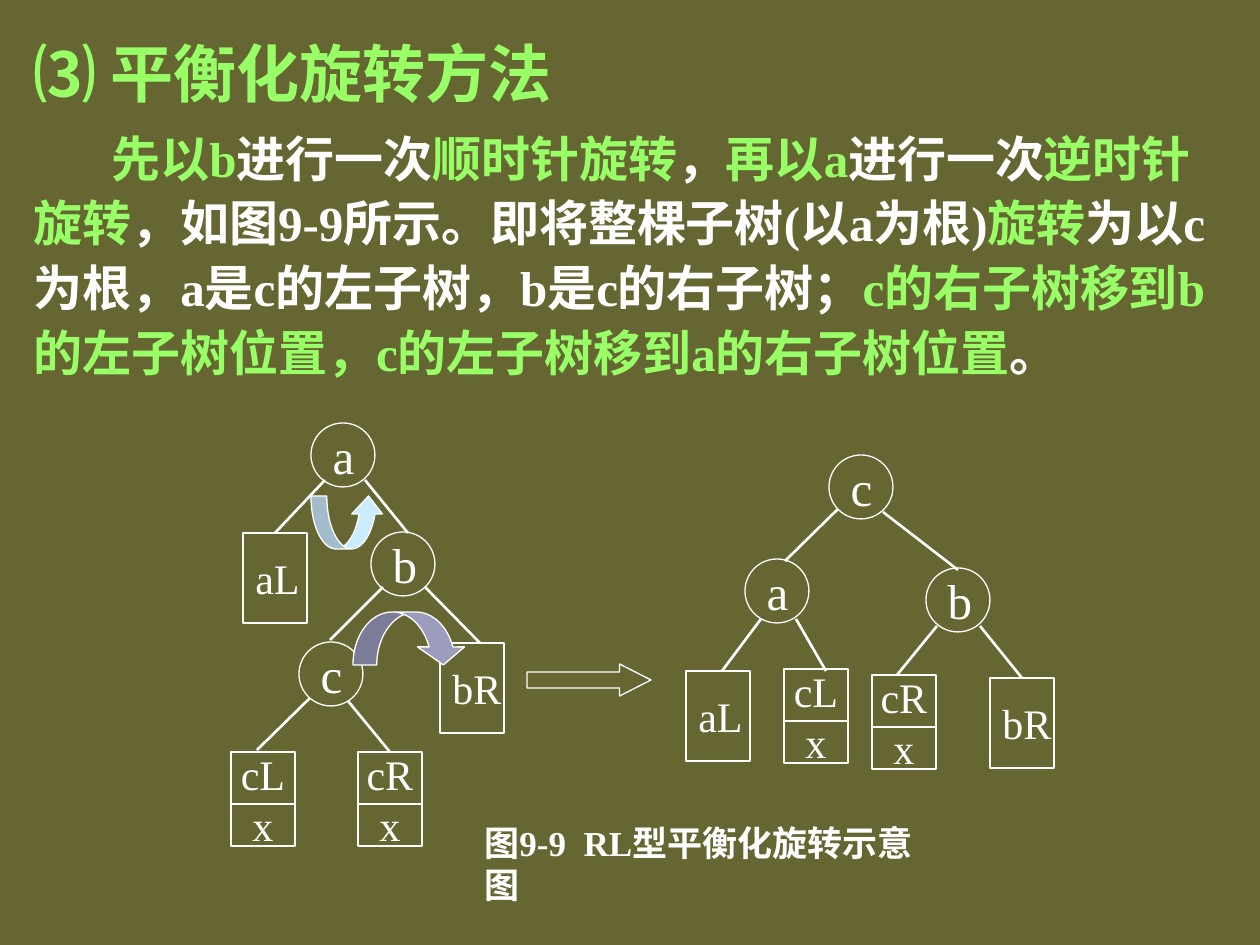
"""Build the slide on balancing an RL tree by rotation."""
from dataclasses import dataclass

from pptx import Presentation
from pptx.dml.color import RGBColor as Rgb
from pptx.enum.shapes import MSO_CONNECTOR as Link, MSO_SHAPE as Kind
from pptx.enum.text import MSO_ANCHOR as Anchor, MSO_AUTO_SIZE as Fit, PP_ALIGN as Align
from pptx.oxml.ns import qn
from pptx.util import Emu, Pt

SCALE = 914400 / 126


def px(*nums):
    return [Emu(round(n * SCALE)) for n in nums]


@dataclass(frozen=True)
class Theme:
    back: str = "666633"
    ink: str = "FFFFFF"
    key: str = "99FF66"
    sky: str = "CCECFF"
    mauve: str = "9C9CBE"
    serif: str = "Times New Roman"
    sans: str = "Noto Sans CJK SC"
    title: int = 36
    body: int = 28
    leaf: int = 24
    note: int = 20
    thin: float = 0.75
    thick: float = 1.5


class Deck:
    def __init__(self, theme):
        self.theme = theme
        self.file = Presentation()
        self.file.slide_width, self.file.slide_height = px(1260, 945)
        self.slide = self.file.slides.add_slide(self.file.slide_layouts[1])
        fill = self.slide.background.fill
        fill.solid()
        fill.fore_color.rgb = Rgb.from_string(theme.back)

    def style(self, run, size, color, bold=False, face=None):
        font = run.font
        font.name = face or self.theme.serif
        font.size = Pt(size)
        font.bold = bold
        font.color.rgb = Rgb.from_string(color)
        props = run._r.get_or_add_rPr()
        east = props.makeelement(qn("a:ea"), {"typeface": self.theme.sans})
        props.find(qn("a:latin")).addnext(east)

    def place(self, idx, box):
        item = self.slide.placeholders[idx]
        item.left, item.top, item.width, item.height = px(*box)
        frame = item.text_frame
        frame.word_wrap = True
        frame.auto_size = Fit.NONE
        frame.vertical_anchor = Anchor.TOP
        para = frame.paragraphs[0]
        para.alignment = Align.LEFT
        para.line_spacing = 1.1
        para.space_before = Pt(0)
        return para

    def title(self, text, box):
        para = self.place(0, box)
        para.text = text
        self.style(para.runs[0], self.theme.title, self.theme.key, True, self.theme.sans)

    def body(self, parts, box, indent):
        para = self.place(1, box)
        props = para._p.get_or_add_pPr()
        props.set("marL", "0")
        props.set("indent", str(px(indent)[0]))
        props.append(props.makeelement(qn("a:buNone"), {}))
        for i, part in enumerate(parts):
            run = para.add_run()
            run.text = part
            color = self.theme.ink if i % 2 else self.theme.key
            self.style(run, self.theme.body, color, True)

    def label(self, frame, text, size, align=Align.LEFT, bold=False):
        frame.text = text
        frame.word_wrap = False
        frame.vertical_anchor = Anchor.MIDDLE
        for para in frame.paragraphs:
            para.alignment = align
            self.style(para.runs[0], size, self.theme.ink, bold)

    def note(self, text, box):
        item = self.slide.shapes.add_textbox(*px(*box))
        self.label(item.text_frame, text, self.theme.note, bold=True)

    def shape(self, kind, box, fill=None, adjust=()):
        item = self.slide.shapes.add_shape(kind, *px(*box))
        item.shadow.inherit = False
        if fill:
            item.fill.solid()
            item.fill.fore_color.rgb = Rgb.from_string(fill)
        else:
            item.fill.background()
        item.line.color.rgb = Rgb.from_string(self.theme.ink)
        item.line.width = Pt(self.theme.thin)
        for i, value in enumerate(adjust):
            item.adjustments[i] = value
        return item

    def node(self, text, x, y):
        item = self.shape(Kind.OVAL, (x, y, 64, 64))
        self.label(item.text_frame, text, self.theme.body)

    def leaf(self, text, x, y):
        item = self.shape(Kind.RECTANGLE, (x, y, 64, 90))
        self.label(item.text_frame, text, self.theme.leaf)
        return item

    def pair(self, text, x, y):
        item = self.shape(Kind.RECTANGLE, (x, y, 64, 94))
        self.label(item.text_frame, f"{text}\nx", self.theme.leaf, Align.CENTER)
        self.edge(x, y + 52, x + 64, y + 52, width=self.theme.thin)
        return item

    def edge(self, x1, y1, x2, y2, end=None, width=None):
        item = self.slide.shapes.add_connector(Link.STRAIGHT, *px(x1, y1, x2, y2))
        item.line.color.rgb = Rgb.from_string(self.theme.ink)
        item.line.width = Pt(width or self.theme.thick)
        props = item._element.spPr
        props.append(props.makeelement(qn("a:effectLst"), {}))
        if end:
            item.end_connect(end, 0)


def main():
    theme = Theme()
    deck = Deck(theme)
    deck.title("⑶ 平衡化旋转方法", (21, 21, 1207, 95))
    deck.body(
        ["先以b", "进行一次", "顺时针旋转", "，", "再以a", "进行一次", "逆时针旋转",
         "，如图9-9所示。即将整棵子树(以a为根)", "旋转",
         "为以c为根，a是c的左子树，b是c的右子树；",
         "c的右子树移到b的左子树位置，c的左子树移到a的右子树位置", "。"],
        (21, 116, 1207, 340), 78)
    deck.note("图9-9  RL型平衡化旋转示意图", (472, 839, 481, 49))

    nodes = [("a", 311, 423), ("b", 371, 532), ("c", 299, 642),
             ("c", 829, 455), ("a", 745, 559), ("b", 926, 568)]
    for spot in nodes:
        deck.node(*spot)
    left = deck.leaf("aL", 243, 533)
    deck.leaf("bR", 440, 643)
    deck.pair("cL", 231, 752)
    low = deck.pair("cR", 358, 752)
    deck.leaf("aL", 686, 671)
    right = deck.leaf("bR", 990, 678)
    deck.pair("cL", 784, 669)
    deck.pair("cR", 872, 675)

    edges = [(325, 480, 275, 533, left), (365, 480, 408, 533),
             (383, 587, 330, 640), (425, 587, 480, 643),
             (310, 698, 257, 750), (348, 701, 390, 752, low),
             (838, 509, 785, 561), (883, 512, 958, 570),
             (761, 619, 722, 671), (796, 619, 826, 671),
             (937, 626, 897, 675), (980, 626, 1022, 678, right)]
    for ends in edges:
        deck.edge(*ends)

    deck.shape(Kind.CURVED_UP_ARROW, (311, 496, 73, 53), theme.sky, (0.3, 0.58, 0.34))
    deck.shape(Kind.CURVED_DOWN_ARROW, (353, 612, 114, 53), theme.mauve, (0.45, 0.89, 0.34))
    deck.shape(Kind.RIGHT_ARROW, (527, 664, 124, 32), adjust=(0.5, 0.98))
    deck.file.save("out.pptx")


if __name__ == "__main__":
    main()
